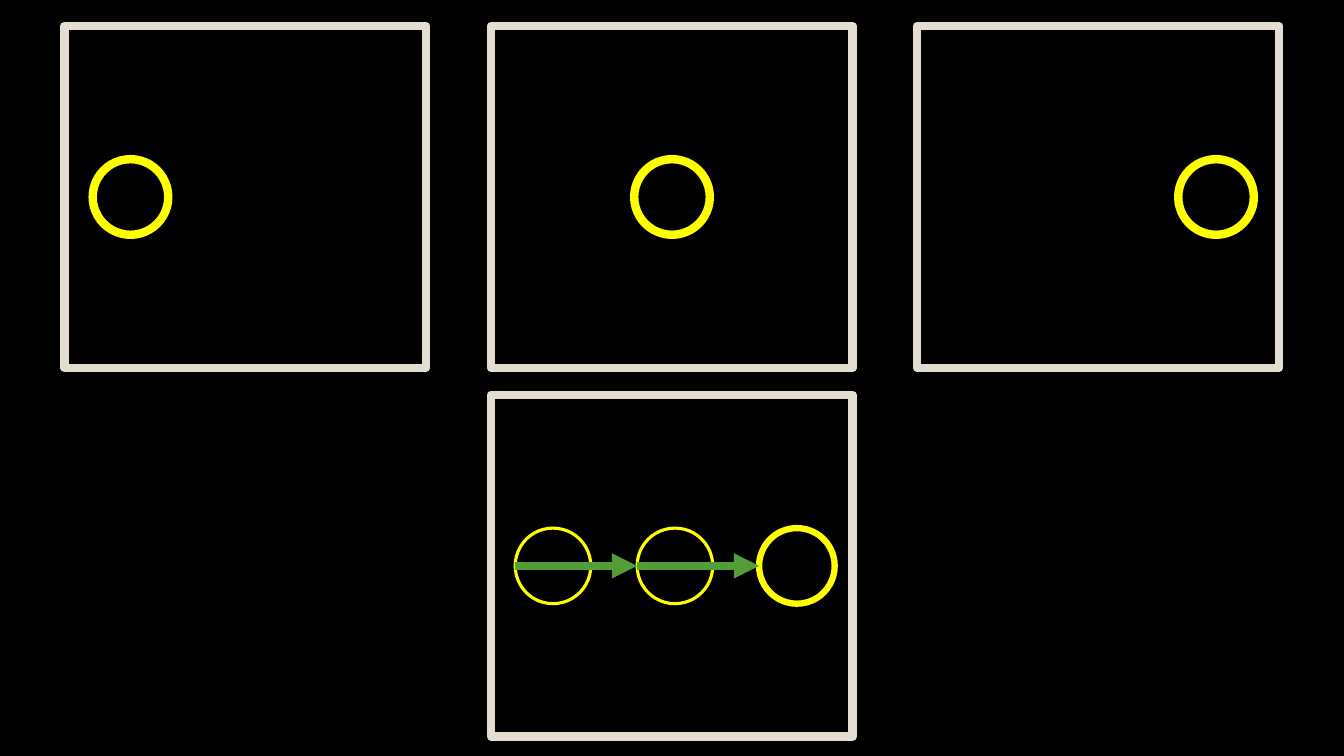
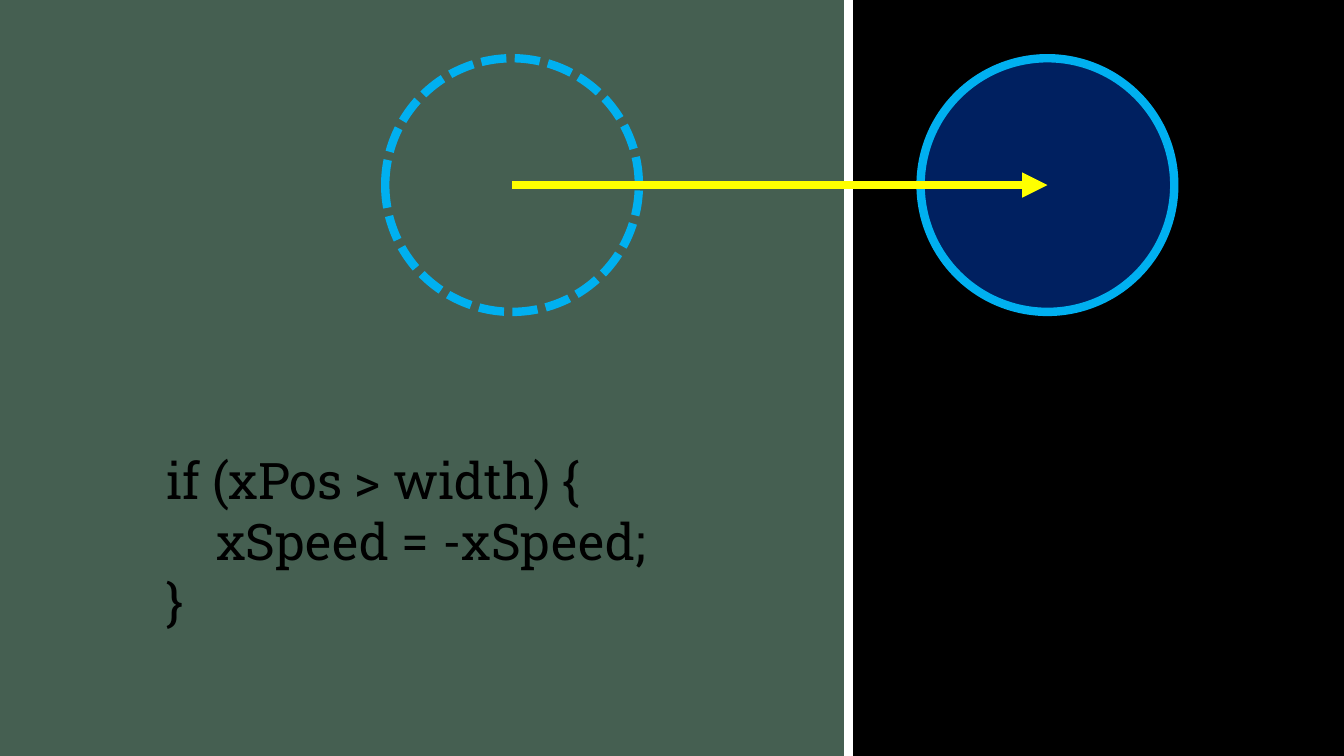
from typing import NamedTuple, Optional

from lxml import etree
from pptx import Presentation
from pptx import util as u
from pptx.dml.color import RGBColor
from pptx.enum import dml, shapes, text
from pptx.oxml.ns import qn

BLACK = "000000"
WHITE = "FFFFFF"
FRAME = "E3DED1"
YELLOW = "FFFF00"
GREEN = "549E39"
SCREEN = "455F51"
NAVY = "002060"
SKY = "00B0F0"
CODE_FONT = "Roboto Slab"
HEAVY = 6

RECT = shapes.MSO_SHAPE.RECTANGLE
OVAL = shapes.MSO_SHAPE.OVAL


class Outline(NamedTuple):
    kind: shapes.MSO_SHAPE
    left: float
    top: float
    width: float
    height: float
    line: str
    weight: float = HEAVY
    fill: Optional[str] = None
    dash: Optional[dml.MSO_LINE] = None


class Arrow(NamedTuple):
    start: float
    end: float
    y: float
    color: str


def paint(target, color: str) -> None:
    target.solid()
    target.fore_color.rgb = RGBColor.from_string(color)


def draw_outline(slide, item: Outline) -> None:
    shape = slide.shapes.add_shape(
        item.kind, u.Pt(item.left), u.Pt(item.top), u.Pt(item.width), u.Pt(item.height))
    shape.shadow.inherit = False
    if item.fill:
        paint(shape.fill, item.fill)
    else:
        shape.fill.background()
    paint(shape.line.fill, item.line)
    shape.line.width = u.Pt(item.weight)
    if item.dash:
        shape.line.dash_style = item.dash


def draw_arrow(slide, item: Arrow) -> None:
    arrow = slide.shapes.add_connector(
        shapes.MSO_CONNECTOR.STRAIGHT,
        u.Pt(item.start), u.Pt(item.y), u.Pt(item.end), u.Pt(item.y))
    paint(arrow.line.fill, item.color)
    arrow.line.width = u.Pt(HEAVY)
    etree.SubElement(arrow.line._get_or_add_ln(), qn("a:tailEnd"), type="triangle")
    etree.SubElement(arrow._element.spPr, qn("a:effectLst"))


def draw_text(slide, content: str, *, left: float, top: float, width: float, height: float,
              size: float, font: str, color: str) -> None:
    box = slide.shapes.add_textbox(u.Pt(left), u.Pt(top), u.Pt(width), u.Pt(height))
    frame = box.text_frame
    frame.word_wrap = True
    frame.auto_size = text.MSO_AUTO_SIZE.SHAPE_TO_FIT_TEXT
    frame.text = content
    for paragraph in frame.paragraphs:
        paragraph.font.size = u.Pt(size)
        paragraph.font.name = font
        paragraph.font.color.rgb = RGBColor.from_string(color)


def add_black_slide(deck):
    slide = deck.slides.add_slide(deck.slide_layouts[6])
    paint(slide.background.fill, BLACK)
    return slide


def build_animation_frames(deck) -> None:
    slide = add_black_slide(deck)
    frame_width, frame_height, frame_pitch = 258.5, 244, 304.6
    frame_left, frame_top, combined_top = 46, 18.7, 282.2
    ball, ball_drop = 54, 95

    def frame(column: int, top: float) -> Outline:
        return Outline(RECT, frame_left + column * frame_pitch, top,
                       frame_width, frame_height, FRAME)

    def circle(left: float, top: float, weight: float = HEAVY) -> Outline:
        return Outline(OVAL, left, top + ball_drop, ball, ball, YELLOW, weight)

    for column in range(3):
        draw_outline(slide, frame(column, frame_top))
    for left in (66.2, 453, 841.6):
        draw_outline(slide, circle(left, frame_top))

    draw_outline(slide, frame(1, combined_top))
    steps = [368 + step * 87.1 for step in range(3)]
    for left, weight in zip(steps, (2.25, 2.25, 4.5)):
        draw_outline(slide, circle(left, combined_top, weight))
    for start, end in zip(steps, steps[1:]):
        draw_arrow(slide, Arrow(start, end, combined_top + ball_drop + ball / 2, GREEN))


def build_edge_bounce(deck) -> None:
    slide = add_black_slide(deck)
    ball, ball_top, before, after = 181.2, 41.6, 275.2, 657.6
    radius = ball / 2

    draw_outline(slide, Outline(OVAL, after, ball_top, ball, ball, SKY, fill=NAVY))
    draw_outline(slide, Outline(RECT, -58.4, -40.3, 664.4, 633, WHITE, fill=SCREEN))
    draw_outline(slide, Outline(OVAL, before, ball_top, ball, ball, SKY,
                                dash=dml.MSO_LINE.SQUARE_DOT))
    draw_arrow(slide, Arrow(before + radius, after + radius, ball_top + radius, YELLOW))
    draw_text(slide, "if (xPos > width) {\n    xSpeed = -xSpeed;\n}",
              left=111.6, top=317.5, width=368, height=138.2,
              size=36, font=CODE_FONT, color=BLACK)


def main() -> None:
    deck = Presentation()
    deck.slide_width, deck.slide_height = u.Pt(960), u.Pt(540)
    build_animation_frames(deck)
    build_edge_bounce(deck)
    deck.save("out.pptx")


if __name__ == "__main__":
    main()
